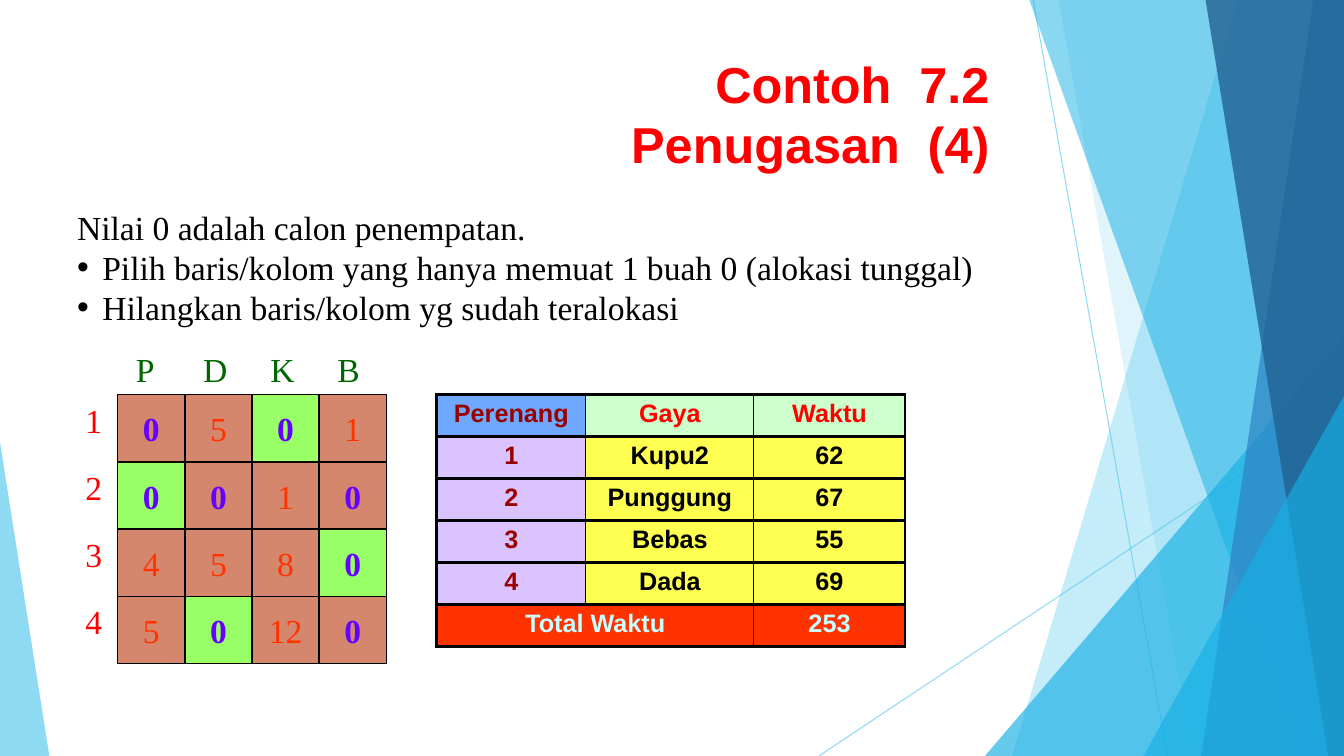
from lxml import etree
from pptx import Presentation, util as u
from pptx.dml.color import RGBColor
from pptx.enum import shapes, text
from pptx.oxml import ns

PX = 9525
WIDTH, HEIGHT = 1280, 720

SKY = RGBColor(0x5F, 0xCB, 0xEF)
CYAN = RGBColor(0x17, 0xB0, 0xE4)
BLUE = RGBColor(0x2E, 0x83, 0xC3)
NAVY = RGBColor(0x22, 0x62, 0x92)
BLACK = RGBColor(0, 0, 0)
RED = RGBColor(0xFF, 0, 0)
GREEN = RGBColor(0, 0x66, 0)
LIME = RGBColor(0x99, 0xFF, 0x66)
CLAY = RGBColor(0xD4, 0x87, 0x6C)
VIOLET = RGBColor(0x66, 0, 0xFF)
ORANGE = RGBColor(0xFF, 0x33, 0)
MAROON = RGBColor(0x99, 0, 0)
CORNFLOWER = RGBColor(0x6F, 0xA9, 0xFF)
MINT = RGBColor(0xCC, 0xFF, 0xCC)
LILAC = RGBColor(0xDB, 0xC3, 0xFF)
YELLOW = RGBColor(0xFF, 0xFF, 0x51)
ICE = RGBColor(0xCC, 0xFF, 0xFF)

SERIF, SANS = "Times New Roman", "Arial"

COSTS = [[0, 5, 0, 1], [0, 0, 1, 0], [4, 5, 8, 0], [5, 0, 12, 0]]
ASSIGNED = {(0, 2), (1, 0), (2, 3), (3, 1)}
CELL, GRID_LEFT, GRID_TOP = 64, 112, 376

RESULTS = [
    ("Perenang", "Gaya", "Waktu"),
    ("1", "Kupu2", "62"),
    ("2", "Punggung", "67"),
    ("3", "Bebas", "55"),
    ("4", "Dada", "69"),
    ("Total Waktu", "", "253"),
]


def px(*lengths):
    return [u.Emu(length * PX) for length in lengths]


def sub(parent, tag, **attributes):
    return etree.SubElement(parent, ns.qn(tag), **attributes)


def set_alpha(element, percent):
    color = next(element.iter(ns.qn("a:srgbClr")))
    sub(color, "a:alpha", val=str(percent * 1000))


def style_paragraph(paragraph, font_name, size, color, bold=False, align=text.PP_ALIGN.LEFT):
    paragraph.alignment = align
    font = paragraph.font
    font.name, font.size, font.bold = font_name, u.Pt(size), bold
    font.color.rgb = color


def paint_glass(shape, color, alpha):
    shape.shadow.inherit = False
    shape.fill.solid()
    shape.fill.fore_color.rgb = color
    set_alpha(shape.fill._xPr, alpha)
    shape.line.fill.background()


def add_ray(slide, start, end):
    ray = slide.shapes.add_connector(shapes.MSO_CONNECTOR.STRAIGHT, *px(*start, *end))
    ray.line.color.rgb = SKY
    ray.line.width = u.Pt(0.75)
    properties = ray._element.spPr
    set_alpha(properties, 70)
    sub(properties, "a:effectLst")


def add_band(slide, top_x, bottom_x, color, alpha):
    """Pane between a slanted left edge and the right side of the slide."""
    builder = slide.shapes.build_freeform(top_x, -1, scale=PX)
    builder.add_line_segments([(WIDTH, -1), (WIDTH, HEIGHT), (bottom_x, HEIGHT)], close=True)
    paint_glass(builder.convert_to_shape(), color, alpha)


def add_corner(slide, left, top, width, apex, color, alpha):
    """Triangle standing on the bottom edge of the slide."""
    box = px(left, top, width, HEIGHT - top)
    corner = slide.shapes.add_shape(shapes.MSO_SHAPE.ISOSCELES_TRIANGLE, *box)
    corner.adjustments[0] = apex
    paint_glass(corner, color, alpha)


def add_text(slide, box, content, wrap=True):
    frame = slide.shapes.add_textbox(*px(*box)).text_frame
    frame.word_wrap = wrap
    frame.text = content
    return frame


def add_label(slide, left, top, content, color):
    frame = add_text(slide, (left, top, 48, 48), content)
    style_paragraph(frame.paragraphs[0], SERIF, 24, color)


def add_cost(slide, row, column, cost):
    left, top = GRID_LEFT + column * CELL, GRID_TOP + row * CELL
    square = slide.shapes.add_shape(shapes.MSO_SHAPE.RECTANGLE, *px(left, top, CELL, CELL))
    square.shadow.inherit = False
    square.fill.solid()
    square.fill.fore_color.rgb = LIME if (row, column) in ASSIGNED else CLAY
    square.line.color.rgb = BLACK
    square.line.width = u.Pt(1)
    frame = square.text_frame
    frame.text = str(cost)
    frame.vertical_anchor = text.MSO_ANCHOR.MIDDLE
    style_paragraph(frame.paragraphs[0], SERIF, 24, ORANGE if cost else VIOLET,
                    bold=cost == 0, align=text.PP_ALIGN.CENTER)


def add_bullet(paragraph):
    properties = paragraph._p.get_or_add_pPr()
    properties.set("marL", str(24 * PX))
    properties.set("indent", str(-24 * PX))
    sub(properties, "a:buFont", typeface=SANS)
    sub(properties, "a:buChar", char="•")


def set_borders(cell, widths):
    properties = cell._tc.get_or_add_tcPr()
    for index, (side, width) in enumerate(zip("LRTB", widths)):
        line = etree.Element(ns.qn(f"a:ln{side}"), w=str(u.Pt(width)))
        sub(sub(line, "a:solidFill"), "a:srgbClr", val=str(BLACK))
        properties.insert(index, line)


def result_colors(row, column):
    """Fill and text colour of a result cell."""
    if row == len(RESULTS) - 1:
        return ORANGE, ICE
    if row == 0:
        return (MINT, RED) if column else (CORNFLOWER, MAROON)
    return (YELLOW, BLACK) if column else (LILAC, MAROON)


def add_results(slide):
    widths, row_height = (142, 160, 144), 40
    rows, columns = len(RESULTS), len(widths)
    box = px(416, GRID_TOP, sum(widths), rows * row_height)
    table = slide.shapes.add_table(rows, columns, *box).table
    table.first_row = table.horz_banding = False
    for column, width in zip(table.columns, px(*widths)):
        column.width = width
    for row, values in enumerate(RESULTS):
        for column, value in enumerate(values):
            cell = table.cell(row, column)
            fill, color = result_colors(row, column)
            cell.text = value
            style_paragraph(cell.text_frame.paragraphs[0], SANS, 18, color,
                            bold=True, align=text.PP_ALIGN.CENTER)
            cell.fill.solid()
            cell.fill.fore_color.rgb = fill
            left = 2.25 if column == 0 else 1
            right = 2.25 if column == columns - 1 else 1
            set_borders(cell, (left, right, 2.25, 2.25))
    table.cell(rows - 1, 0).merge(table.cell(rows - 1, 1))


def add_backdrop(slide):
    add_ray(slide, (984, 0), (1112, 720))
    add_ray(slide, (1280, 387), (780, 720))
    add_band(slide, 1179, 964, SKY, 36)
    add_band(slide, 1008, 1136, SKY, 20)
    add_corner(slide, 938, 320, 342, 1, CYAN, 66)
    add_band(slide, 980, 1239, CYAN, 50)
    add_band(slide, 1251, 1144, BLUE, 70)
    add_band(slide, 1148, 1265, NAVY, 80)
    add_corner(slide, 1089, 377, 191, 1, CYAN, 66)
    add_corner(slide, 0, 421, 47, 0, SKY, 70)


def main():
    presentation = Presentation()
    presentation.slide_width, presentation.slide_height = px(WIDTH, HEIGHT)
    slide = presentation.slides.add_slide(presentation.slide_layouts[6])
    add_backdrop(slide)

    # Title
    title = add_text(slide, (184, 48, 768, 120), "Contoh  7.2\vPenugasan  (4)")
    title.vertical_anchor = text.MSO_ANCHOR.MIDDLE
    style_paragraph(title.paragraphs[0], SANS, 36, RED, bold=True, align=text.PP_ALIGN.RIGHT)

    # Rules for choosing zeros
    rules = add_text(slide, (64, 192, 880, 126),
                     "Nilai 0 adalah calon penempatan.\n"
                     "Pilih baris/kolom yang hanya memuat 1 buah 0 (alokasi tunggal)\n"
                     "Hilangkan baris/kolom yg sudah teralokasi", wrap=False)
    for index, paragraph in enumerate(rules.paragraphs):
        if index:
            add_bullet(paragraph)
        style_paragraph(paragraph, SERIF, 24, BLACK)

    # Cost matrix with its headings
    for column, stroke in enumerate("PDKB"):
        add_label(slide, 120 + column * CELL, 328, stroke, GREEN)
    for row, costs in enumerate(COSTS):
        add_label(slide, 72, GRID_TOP + row * CELL, str(row + 1), RED)
        for column, cost in enumerate(costs):
            add_cost(slide, row, column, cost)

    # Resulting assignment
    add_results(slide)
    presentation.save("out.pptx")


if __name__ == "__main__":
    main()
